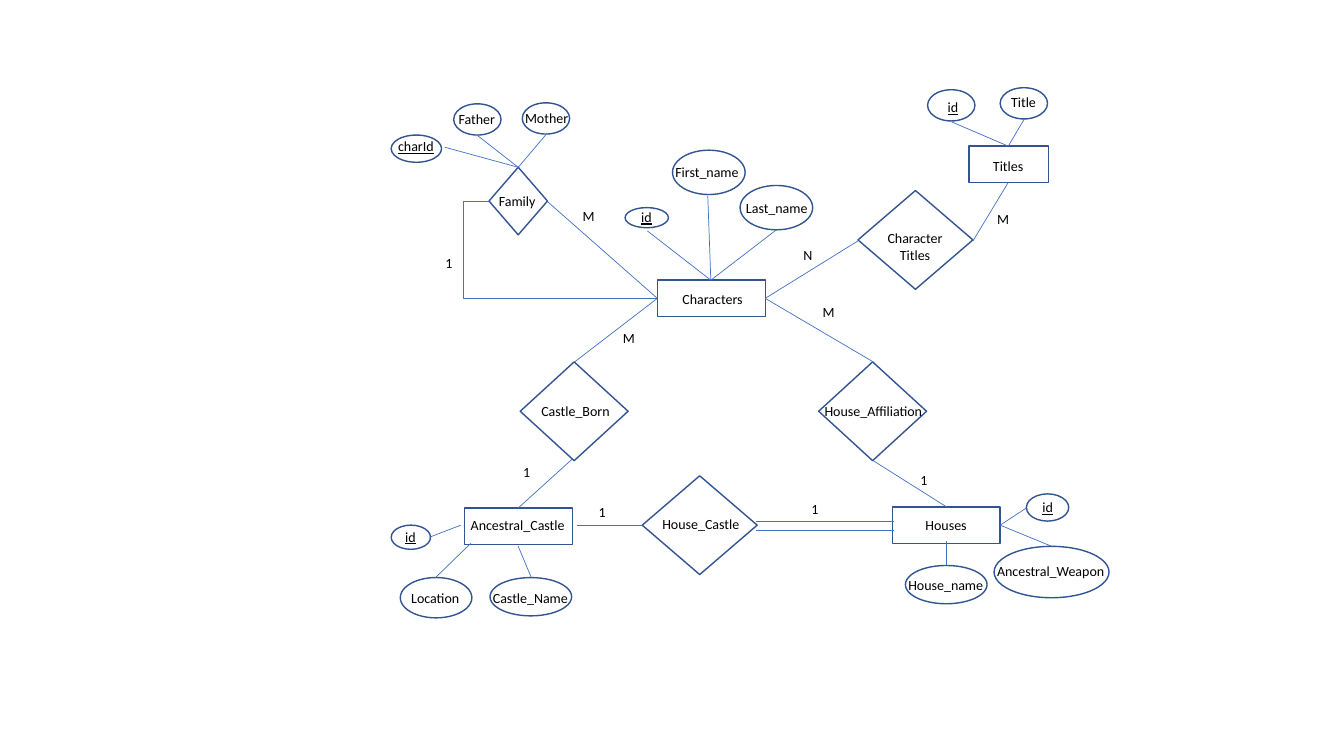
from lxml.etree import SubElement
from pptx import Presentation
from pptx.dml.color import RGBColor
from pptx.enum.shapes import MSO_CONNECTOR, MSO_SHAPE
from pptx.enum.text import MSO_AUTO_SIZE, PP_ALIGN
from pptx.oxml.ns import qn
from pptx.util import Inches, Pt

OUTLINE = RGBColor(0x32, 0x54, 0x91)
LINK = RGBColor(0x44, 0x72, 0xC4)
BLACK = RGBColor(0, 0, 0)
LABEL_HEIGHT = 0.27
KEYS = ("id", "charId")

deck = Presentation()
deck.slide_width = Inches(13.33)
deck.slide_height = Inches(7.5)
page = deck.slides.add_slide(deck.slide_layouts[6])


def add_label(text, left, top, width, height=LABEL_HEIGHT):
    box = page.shapes.add_textbox(Inches(left), Inches(top), Inches(width), Inches(height))
    frame = box.text_frame
    frame.text = text
    frame.word_wrap = False
    frame.auto_size = MSO_AUTO_SIZE.SHAPE_TO_FIT_TEXT
    for para in frame.paragraphs:
        if len(frame.paragraphs) > 1:
            para.alignment = PP_ALIGN.CENTER
        for span in para.runs:
            span.font.name = "Calibri"
            span.font.size = Pt(10)
            span.font.color.rgb = BLACK
            if text in KEYS:
                span.font.underline = True


def add_link(start, end, kind=MSO_CONNECTOR.STRAIGHT):
    points = [Inches(value) for value in (*start, *end)]
    link = page.shapes.add_connector(kind, *points)
    link.line.color.rgb = LINK
    link.line.width = Pt(0.5)
    SubElement(link._element.spPr, qn("a:effectLst"))
    return link


entities = [
    ("Ancestral_Castle", (4.61, 5.04, 1.07, 0.36), (4.57, 5.08, 1.15)),
    ("Characters", (6.52, 2.78, 1.07, 0.36), (6.67, 2.83, 0.81)),
    ("Houses", (8.85, 5.03, 1.07, 0.36), (9.08, 5.08, 0.62)),
    ("Titles", (9.61, 1.45, 0.79, 0.36), (9.75, 1.51, 0.51)),
]
relationships = [
    ("House_Castle", (6.37, 4.72, 1.14, 0.98), (6.47, 5.07, 0.98)),
    ("Castle_Born", (5.16, 3.59, 1.07, 0.98), (5.27, 3.94, 0.89)),
    ("House_Affiliation", (8.12, 3.59, 1.07, 0.98), (8.08, 3.94, 1.18)),
    ("Character\nTitles", (8.51, 1.89, 1.14, 0.98), (8.68, 2.23, 0.79, 0.44)),
    ("Family", (4.85, 1.66, 0.58, 0.67), (4.85, 1.86, 0.57)),
]
attributes = [
    ("id", (3.88, 5.21, 0.39, 0.24), (3.92, 5.19, 0.31)),
    ("Location", (3.97, 5.73, 0.71, 0.4), (3.98, 5.8, 0.69)),
    ("Castle_Name", (4.86, 5.73, 0.81, 0.38), (4.79, 5.8, 0.96)),
    ("id", (10.18, 4.9, 0.42, 0.27), (10.24, 4.9, 0.31)),
    ("House_name", (8.98, 5.61, 0.81, 0.38), (8.91, 5.67, 0.95)),
    ("Ancestral_Weapon", (9.86, 5.42, 1.14, 0.51), (9.79, 5.53, 1.29)),
    ("id", (6.2, 2.06, 0.43, 0.2), (6.26, 2.02, 0.31)),
    ("First_name", (6.67, 1.49, 0.72, 0.44), (6.6, 1.57, 0.84)),
    ("Last_name", (7.34, 1.84, 0.72, 0.44), (7.3, 1.93, 0.82)),
    ("Title", (9.92, 0.87, 0.47, 0.31), (9.93, 0.88, 0.45)),
    ("id", (9.2, 0.89, 0.47, 0.31), (9.3, 0.93, 0.31)),
    ("Father", (4.5, 1.03, 0.47, 0.31), (4.45, 1.05, 0.57)),
    ("Mother", (5.18, 1.02, 0.47, 0.31), (5.11, 1.04, 0.63)),
    ("charId", (3.88, 1.34, 0.5, 0.27), (3.85, 1.32, 0.56)),
]
node_groups = [
    (MSO_SHAPE.RECTANGLE, entities),
    (MSO_SHAPE.DIAMOND, relationships),
    (MSO_SHAPE.OVAL, attributes),
]
for preset, nodes in node_groups:
    for name, bounds, label_bounds in nodes:
        node = page.shapes.add_shape(preset, *[Inches(value) for value in bounds])
        node.shadow.inherit = False
        node.fill.background()
        node.line.color.rgb = OUTLINE
        node.line.width = Pt(1)
        add_label(name, *label_bounds)

characters_left, characters_top, characters_right = (6.52, 2.96), (7.05, 2.78), (7.59, 2.96)
family_top, family_left, family_right = (5.14, 1.66), (4.85, 2), (5.43, 2)
titles_top, houses_right = (10, 1.45), (9.92, 5.21)

links = [
    (characters_left, (5.7, 3.59)),
    ((5.68, 4.55), (5.14, 5.04)),
    (characters_right, (8.66, 3.59)),
    ((8.66, 4.57), (9.39, 5.03)),
    (characters_right, (8.51, 2.39)),
    ((9.65, 2.39), (10, 1.81)),
    (family_right, characters_left),
    ((5.72, 5.21), (6.37, 5.21)),
    ((7.5, 5.17), (8.87, 5.17)),
    ((7.5, 5.26), (8.87, 5.26)),
    ((5.14, 5.42), (5.27, 5.73)),
    ((4.67, 5.39), (4.32, 5.73)),
    ((4.57, 5.21), (4.26, 5.33)),
    ((9.39, 5.37), (9.39, 5.61)),
    ((10.18, 5.04), houses_right),
    ((10.43, 5.42), houses_right),
    (characters_top, (7.7, 2.28)),
    (characters_top, (7.02, 1.94)),
    (characters_top, (6.42, 2.29)),
    (titles_top, (10.16, 1.18)),
    (titles_top, (9.44, 1.21)),
    ((5.42, 1.33), family_top),
    ((4.73, 1.34), family_top),
    ((4.41, 1.46), family_top),
]
for start, end in links:
    add_link(start, end)

family_loop = add_link(characters_left, family_left, MSO_CONNECTOR.ELBOW)
bends = family_loop._element.spPr.find(qn("a:prstGeom")).find(qn("a:avLst"))
SubElement(bends, qn("a:gd"), name="adj1", fmla="val 115000")

cardinalities = [
    ("1", 0.27, [(7.95, 4.92), (5.84, 4.95), (5.09, 4.55), (9.03, 4.63), (4.32, 2.48)]),
    ("M", 0.32, [(6.08, 3.22), (8.06, 2.96), (9.79, 2.04), (5.68, 2.01)]),
    ("N", 0.29, [(7.87, 2.4)]),
]
for mark, width, places in cardinalities:
    for left, top in places:
        add_label(mark, left, top, width)

deck.save("out.pptx")
